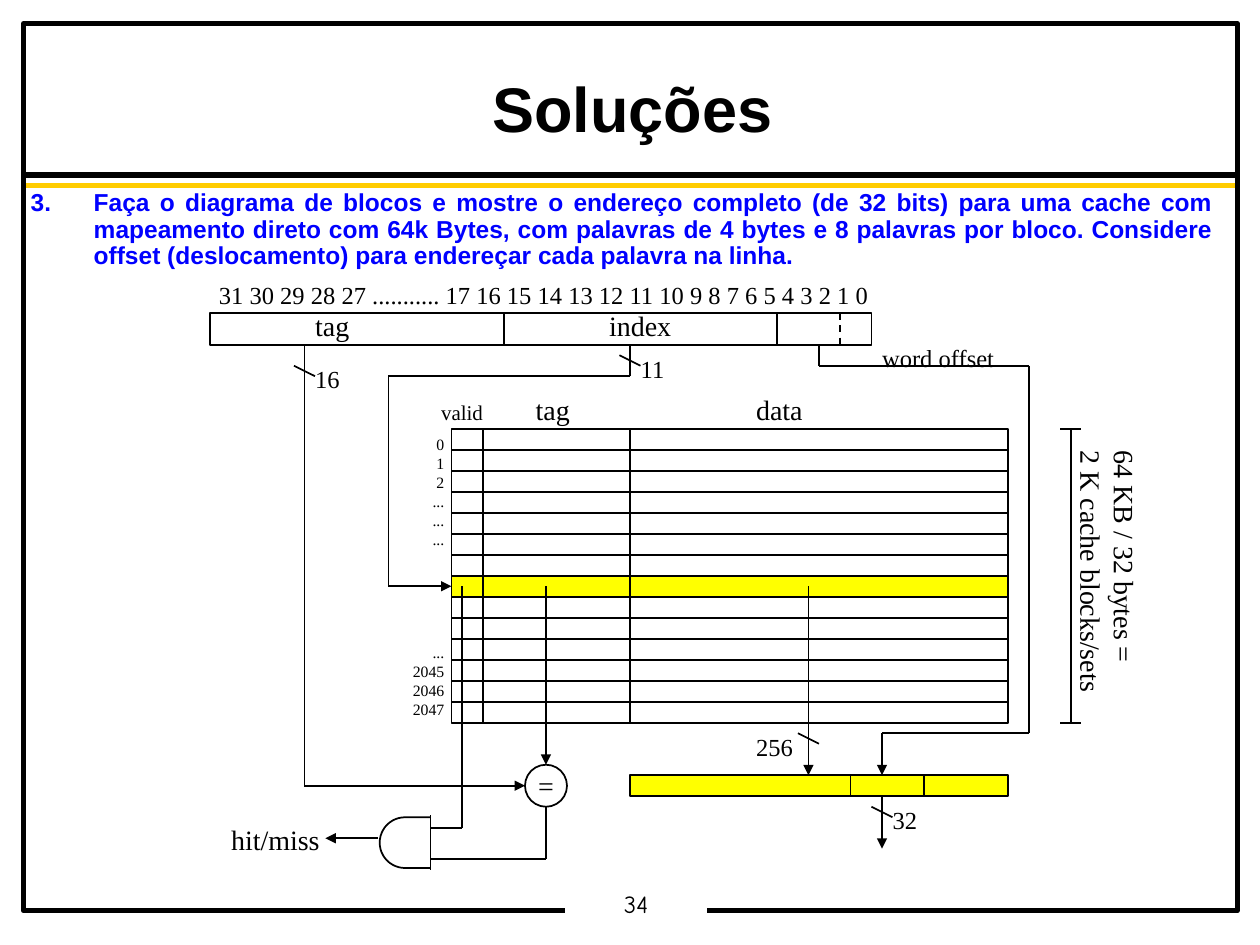
"""Build the slide with the block diagram of a direct-mapped cache."""
import pptx
import pptx.dml.color
import pptx.enum.dml
import pptx.enum.shapes
import pptx.enum.text
import pptx.oxml.ns
import pptx.util
from dataclasses import dataclass
from lxml import etree

Pt = pptx.util.Pt
ALIGN = pptx.enum.text.PP_ALIGN
ANCHOR = pptx.enum.text.MSO_ANCHOR
SHAPE = pptx.enum.shapes.MSO_SHAPE


@dataclass(frozen=True)
class Theme:
    ink: str = "000000"
    paper: str = "FFFFFF"
    rule: str = "FFCC00"
    question: str = "0000FF"
    highlight: str = "FFFF00"
    sans: str = "Arial"
    serif: str = "Times New Roman"
    numeral: str = "Comic Neue"
    title: int = 36
    heading: int = 16
    body: int = 14
    small: int = 12
    row: int = 9
    thin: int = 1
    thick: int = 3


THEME = Theme()

TITLE = "Soluções"
QUESTION = (
    "Faça o diagrama de blocos e mostre o endereço completo (de 32 bits) para uma cache com "
    "mapeamento direto com 64k Bytes, com palavras de 4 bytes e 8 palavras por bloco. "
    "Considere offset (deslocamento) para endereçar cada palavra na linha."
)
PAGE_NUMBER = "34"
BIT_NUMBERS = "31 30 29 28 27 ........... 17 16 15 14 13 12 11 10 9 8 7 6 5 4 3 2 1 0"
FIRST_ROWS = ["0", "1", "2", "...", "...", "..."]
LAST_ROWS = ["...", "2045", "2046", "2047"]
CAPACITY = ["64 KB / 32 bytes =", "2 K cache blocks/sets"]

LABELS = [
    (BIT_NUMBERS, (118, 156.5, 392, 24), THEME.body),
    ("tag", (173, 173, 38, 26), THEME.heading),
    ("index", (341, 173, 54, 26), THEME.heading),
    ("valid", (245, 224.5, 44, 21), THEME.small),
    ("tag", (299, 221, 38, 26), THEME.heading),
    ("data", (425, 221, 46, 26), THEME.heading),
    ("11", (359, 199, 32, 24), THEME.body),
    ("16", (173, 204.5, 32, 24), THEME.body),
    ("256", (425, 415, 40, 24), THEME.body),
    ("32", (503, 456.5, 32, 24), THEME.body),
    ("word offset", (497, 192.5, 86, 24), THEME.body),
    ("hit/miss", (125, 466.5, 70, 26), THEME.heading),
]

ADDRESS = (120, 179, 378, 18)
ADDRESS_DIVIDERS = [288, 444]
BYTE_DIVIDER = 480
CACHE = (258, 245, 318, 168)
ROW_COUNT = 14
SELECTED_ROW = 7
CACHE_DIVIDERS = [276, 360]
BLOCK = (360, 443, 216, 12)
BLOCK_DIVIDERS = [486, 528]
COMPARATOR = (300, 437, 24, 24)
GATE = (217, 467, 47, 29)
GATE_MASK = (246, 466, 36, 31)
BRACKET_X, BRACKET_HALF = 612, 6

INDEX_WIRE = [(360, 197), (360, 215), (222, 215), (222, 335), (258, 335)]
ARROW_WIRES = [
    [(174, 197), (174, 449), (300, 449)],
    [(312, 335), (312, 437)],
    [(462, 335), (462, 443)],
    [(468, 197), (468, 209), (588, 209), (588, 419), (504, 419), (504, 443)],
    [(504, 455), (504, 485)],
    [(216, 479), (186, 479)],
]
PLAIN_WIRES = [
    [(312, 461), (312, 491), (246, 491)],
    [(264, 335), (264, 473), (246, 473)],
]
BUS_TICKS = [(354, 203), (168, 209), (456, 419), (498, 461)]
TICK_WIDTH, TICK_HEIGHT = 12, 6


def rgb(value):
    return pptx.dml.color.RGBColor.from_string(value)


def assign(target, values):
    for name, value in values.items():
        setattr(target, name, value)


def add_line(slide, start, end, color=THEME.ink, width=THEME.thin, arrow=False, dash=None):
    line = slide.shapes.add_connector(
        pptx.enum.shapes.MSO_CONNECTOR.STRAIGHT, *map(Pt, (*start, *end)))
    assign(line.line, {"width": Pt(width), "dash_style": dash})
    line.line.fill.solid()
    line.line.fill.fore_color.rgb = rgb(color)
    if arrow:
        outline = line.line._get_or_add_ln()
        etree.SubElement(outline, pptx.oxml.ns.qn("a:tailEnd"), type="triangle")
    etree.SubElement(line._element.spPr, pptx.oxml.ns.qn("a:effectLst"))
    return line


def add_wire(slide, points, arrow=False):
    last = len(points) - 2
    for number, (start, end) in enumerate(zip(points, points[1:])):
        line = add_line(slide, start, end, arrow=arrow and number == last)
    return line


def add_dividers(slide, box, positions, dash=None):
    for x in positions:
        add_line(slide, (x, box[1]), (x, box[1] + box[3]), dash=dash)


def add_box(slide, box, kind=SHAPE.RECTANGLE, fill=None, width=THEME.thin):
    shape = slide.shapes.add_shape(kind, *map(Pt, box))
    shape.shadow.inherit = False
    if fill:
        shape.fill.solid()
        shape.fill.fore_color.rgb = rgb(fill)
    else:
        shape.fill.background()
    if width:
        shape.line.width = Pt(width)
        shape.line.color.rgb = rgb(THEME.ink)
    else:
        shape.line.fill.background()
    return shape


def write(shape, lines, size, font=THEME.serif, color=THEME.ink, bold=False,
          frame=None, paragraph_format=None):
    text_frame = shape.text_frame
    text_frame.text = "\n".join(lines)
    assign(text_frame, {"word_wrap": False, **(frame or {})})
    for paragraph in text_frame.paragraphs:
        assign(paragraph, paragraph_format or {})
        run_font = paragraph.runs[0].font
        assign(run_font, {"name": font, "size": Pt(size), "bold": bold})
        run_font.color.rgb = rgb(color)


def add_text(slide, box, lines, size, **options):
    shape = slide.shapes.add_textbox(*map(Pt, box))
    write(shape, lines, size, **options)
    return shape


def add_page(slide):
    add_line(slide, (14, 100), (708, 100), width=THEME.thick)
    add_line(slide, (14, 106), (708, 106), THEME.rule, THEME.thick)
    add_box(slide, (13.5, 13.5, 693.5, 507), width=THEME.thick)
    number = add_box(slide, (323, 508, 81, 19), fill=THEME.paper, width=0)
    write(number, [PAGE_NUMBER], THEME.body, THEME.numeral,
          paragraph_format={"alignment": ALIGN.CENTER, "line_spacing": 0.9})
    add_text(slide, (14, 41, 695, 45), [TITLE], THEME.title, font=THEME.sans, bold=True,
             frame={"word_wrap": True, "vertical_anchor": ANCHOR.MIDDLE},
             paragraph_format={"alignment": ALIGN.CENTER, "line_spacing": 0.95})
    question = add_text(
        slide, (10.5, 105.5, 690, 369), [QUESTION], THEME.body, font=THEME.sans,
        color=THEME.question, bold=True, frame={"word_wrap": True},
        paragraph_format={"alignment": ALIGN.JUSTIFY, "line_spacing": 0.9, "space_before": Pt(5.2)})
    properties = question.text_frame.paragraphs[0]._p.get_or_add_pPr()
    for name, value in {"marL": Pt(36), "indent": Pt(-36)}.items():
        properties.set(name, str(value))
    etree.SubElement(properties, pptx.oxml.ns.qn("a:buAutoNum"), type="arabicPeriod", startAt="3")


def add_cache(slide):
    left, top, width, height = CACHE
    row_height = height / ROW_COUNT
    selected = add_box(slide, (left, top + SELECTED_ROW * row_height, width, row_height),
                       fill=THEME.highlight)
    add_box(slide, CACHE)
    for row in range(1, ROW_COUNT):
        y = top + row * row_height
        add_line(slide, (left, y), (left + width, y))
    add_dividers(slide, CACHE, CACHE_DIVIDERS)
    labels = add_text(slide, (221, 245, 40, 169), FIRST_ROWS + LAST_ROWS, THEME.row,
                      paragraph_format={"alignment": ALIGN.RIGHT})
    labels.text_frame.paragraphs[len(FIRST_ROWS)].space_before = Pt(54)
    add_dividers(slide, CACHE, [BRACKET_X])
    for y in (top, top + height):
        add_line(slide, (BRACKET_X - BRACKET_HALF, y), (BRACKET_X + BRACKET_HALF, y))
    add_text(slide, (557.5, 304, 152, 45), CAPACITY, THEME.heading).rotation = 90
    add_wire(slide, INDEX_WIRE, arrow=True).end_connect(selected, 1)


def add_logic(slide):
    add_box(slide, ADDRESS)
    add_dividers(slide, ADDRESS, ADDRESS_DIVIDERS)
    add_dividers(slide, ADDRESS, [BYTE_DIVIDER], pptx.enum.dml.MSO_LINE.DASH)
    add_box(slide, BLOCK, fill=THEME.highlight)
    add_dividers(slide, BLOCK, BLOCK_DIVIDERS)
    write(add_box(slide, COMPARATOR, SHAPE.OVAL), ["="], THEME.heading,
          frame={"vertical_anchor": ANCHOR.MIDDLE}, paragraph_format={"alignment": ALIGN.CENTER})
    add_box(slide, GATE, SHAPE.ROUNDED_RECTANGLE).adjustments[0] = 0.5
    add_box(slide, GATE_MASK, fill=THEME.paper, width=0)
    add_dividers(slide, GATE_MASK, [GATE_MASK[0]])
    for points in ARROW_WIRES:
        add_wire(slide, points, arrow=True)
    for points in PLAIN_WIRES:
        add_wire(slide, points)
    for x, y in BUS_TICKS:
        add_line(slide, (x, y), (x + TICK_WIDTH, y + TICK_HEIGHT))
    for text, box, size in LABELS:
        add_text(slide, box, [text], size)


def main():
    presentation = pptx.Presentation()
    assign(presentation, {"slide_width": Pt(720), "slide_height": Pt(540)})
    slide = presentation.slides.add_slide(presentation.slide_layouts[6])
    add_page(slide)
    add_cache(slide)
    add_logic(slide)
    presentation.save("out.pptx")


if __name__ == "__main__":
    main()
